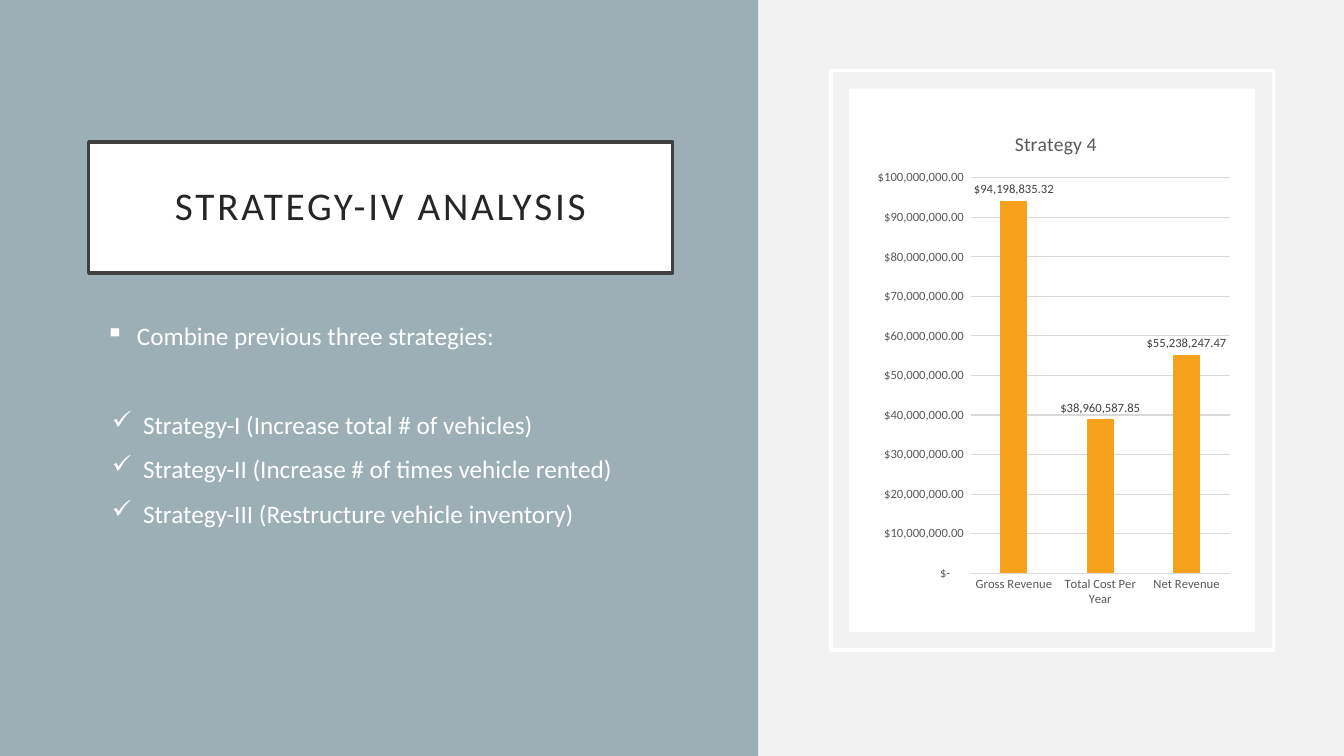
from lxml import etree
from pptx import Presentation
from pptx.chart.data import CategoryChartData
from pptx.dml.color import RGBColor
from pptx.enum.chart import XL_CHART_TYPE, XL_LABEL_POSITION, XL_TICK_MARK
from pptx.enum.shapes import MSO_SHAPE
from pptx.enum.text import MSO_ANCHOR, PP_ALIGN
from pptx.oxml.ns import qn
from pptx.util import Inches, Pt

RECT = MSO_SHAPE.RECTANGLE
COLUMNS = XL_CHART_TYPE.COLUMN_CLUSTERED
OUTSIDE_END = XL_LABEL_POSITION.OUTSIDE_END
NO_TICK = XL_TICK_MARK.NONE
MIDDLE = MSO_ANCHOR.MIDDLE
CENTER = PP_ALIGN.CENTER

FONT = "Calibri"
MONEY = '_("$"* #,##0.00_);_("$"* \\(#,##0.00\\);_("$"* "-"??_);_(@_)'
COLORS = {
    "background": "F2F2F2", "panel": "9BAFB5", "white": "FFFFFF",
    "border": "404040", "title": "262626", "axis": "595959",
    "grid": "D9D9D9", "bar": "F6A21D", "label": "404040",
}
# Bullet, indent in inches, space before in points, text
POINTS = [
    ("▪", 0.38, 0, "Combine previous three strategies:"),
    ("✓", 0.44, 42, "Strategy-I (Increase total # of vehicles)"),
    ("✓", 0.44, 10, "Strategy-II (Increase # of times vehicle rented)"),
    ("✓", 0.44, 10, "Strategy-III (Restructure vehicle inventory)"),
]
REVENUE = {
    "Gross Revenue": 94198835.32,
    "Total Cost Per Year": 38960587.85,
    "Net Revenue": 55238247.47,
}


def rgb(name):
    return RGBColor.from_string(COLORS[name])


def set_font(font, size, color):
    font.name, font.size = FONT, Pt(size)
    font.color.rgb = rgb(color)


def set_line(line, color, width):
    line.color.rgb = rgb(color)
    line.width = Pt(width)


def add_rect(s, box, fill=None, line=None):
    sp = s.shapes.add_shape(RECT, *map(Inches, box))
    sp.shadow.inherit = False
    if fill:
        sp.fill.solid()
        sp.fill.fore_color.rgb = rgb(fill)
    else:
        sp.fill.background()
    if line:
        set_line(sp.line, line, 2.5)
    else:
        sp.line.fill.background()
    return sp


def add_title(s, box):
    tf = add_rect(s, box, "white", "border").text_frame
    tf.word_wrap = True
    tf.vertical_anchor = MIDDLE
    tf.margin_left = tf.margin_right = Inches(0.2)
    tf.margin_top = tf.margin_bottom = Inches(0.2)
    p = tf.paragraphs[0]
    p.alignment = CENTER
    p.line_spacing = 0.9
    r = p.add_run()
    r.text = "STRATEGY-IV ANALYSIS"
    set_font(r.font, 28, "title")
    r.font._element.set("spc", "200")


def add_points(s, box):
    tf = s.shapes.add_textbox(*map(Inches, box)).text_frame
    tf.word_wrap = True
    for i, (bullet, indent, before, text) in enumerate(POINTS):
        p = tf.add_paragraph() if i else tf.paragraphs[0]
        p.text = text
        p.space_before = Pt(before)
        set_font(p.font, 18, "white")
        pPr = p._p.get_or_add_pPr()
        pPr.set("marL", str(Inches(indent)))
        pPr.set("indent", str(Inches(-0.31)))
        mark = etree.Element(qn("a:buChar"), char=bullet)
        pPr.find(qn("a:defRPr")).addprevious(mark)


def add_layout(before, **settings):
    """Insert a manual chart layout ahead of the given element."""
    layout = etree.Element(qn("c:layout"))
    manual = etree.SubElement(layout, qn("c:manualLayout"))
    for tag, value in settings.items():
        etree.SubElement(manual, qn(f"c:{tag}"), val=str(value))
    before.addprevious(layout)


def add_revenue_chart(s, box):
    data = CategoryChartData(number_format=MONEY)
    data.categories = list(REVENUE)
    data.add_series("Series 1", list(REVENUE.values()))
    chart = s.shapes.add_chart(COLUMNS, *map(Inches, box), data).chart
    chart.has_legend = False
    set_font(chart.font, 9, "axis")

    # Title
    chart.has_title = True
    title = chart.chart_title
    p = title.text_frame.paragraphs[0]
    p.text = "Strategy 4"
    set_font(p.font, 14, "axis")
    p.font.bold = False
    for old in title._element.findall(qn("c:layout")):
        title._element.remove(old)
    add_layout(title._element.find(qn("c:overlay")),
               xMode="edge", yMode="edge", x=0.39, y=0.04)

    # Axes
    cat, val = chart.category_axis, chart.value_axis
    for axis in (cat, val):
        axis.major_tick_mark = axis.minor_tick_mark = NO_TICK
        set_font(axis.tick_labels.font, 9, "axis")
    set_line(cat.format.line, "grid", 0.75)
    val.format.line.fill.background()
    set_line(val.major_gridlines.format.line, "grid", 0.75)
    val.minimum_scale, val.maximum_scale, val.major_unit = 0, 1e8, 1e7
    val.tick_labels.number_format = MONEY
    val.tick_labels.number_format_is_linked = False

    # Columns and their labels
    plot = chart.plots[0]
    plot.gap_width, plot.overlap = 219, -27
    plot.vary_by_categories = False
    series = plot.series[0]
    series.format.fill.solid()
    series.format.fill.fore_color.rgb = rgb("bar")
    labels = series.data_labels
    labels.show_value = True
    labels.position = OUTSIDE_END
    labels.number_format = MONEY
    labels.number_format_is_linked = False
    set_font(labels.font, 9, "label")

    area = plot._element.getparent()
    for old in area.findall(qn("c:layout")):
        area.remove(old)
    add_layout(area[0], layoutTarget="inner", xMode="edge", yMode="edge",
               x=0.28, y=0.14, w=0.7, h=0.78)


def add_text_panel(s, box):
    x, y, w, h = box
    add_rect(s, box, "panel")
    add_title(s, (x + 0.88, y + 1.41, 5.79, 1.3))
    add_points(s, (x + 0.88, y + 3.13, 5.78, 3.33))


def add_chart_panel(s, box):
    x, y, w, h = box

    def inset(gap):
        return x + gap, y + gap, w - 2 * gap, h - 2 * gap

    add_rect(s, box, line="white")
    add_rect(s, inset(0.18), "white")
    add_revenue_chart(s, inset(0.36))


prs = Presentation()
prs.slide_width, prs.slide_height = Inches(13.33), Inches(7.5)
s = prs.slides.add_slide(prs.slide_layouts[6])
s.background.fill.solid()
s.background.fill.fore_color.rgb = rgb("background")
add_text_panel(s, (0, 0, 7.52, 7.5))
add_chart_panel(s, (8.24, 0.7, 4.39, 5.75))
prs.save("out.pptx")
